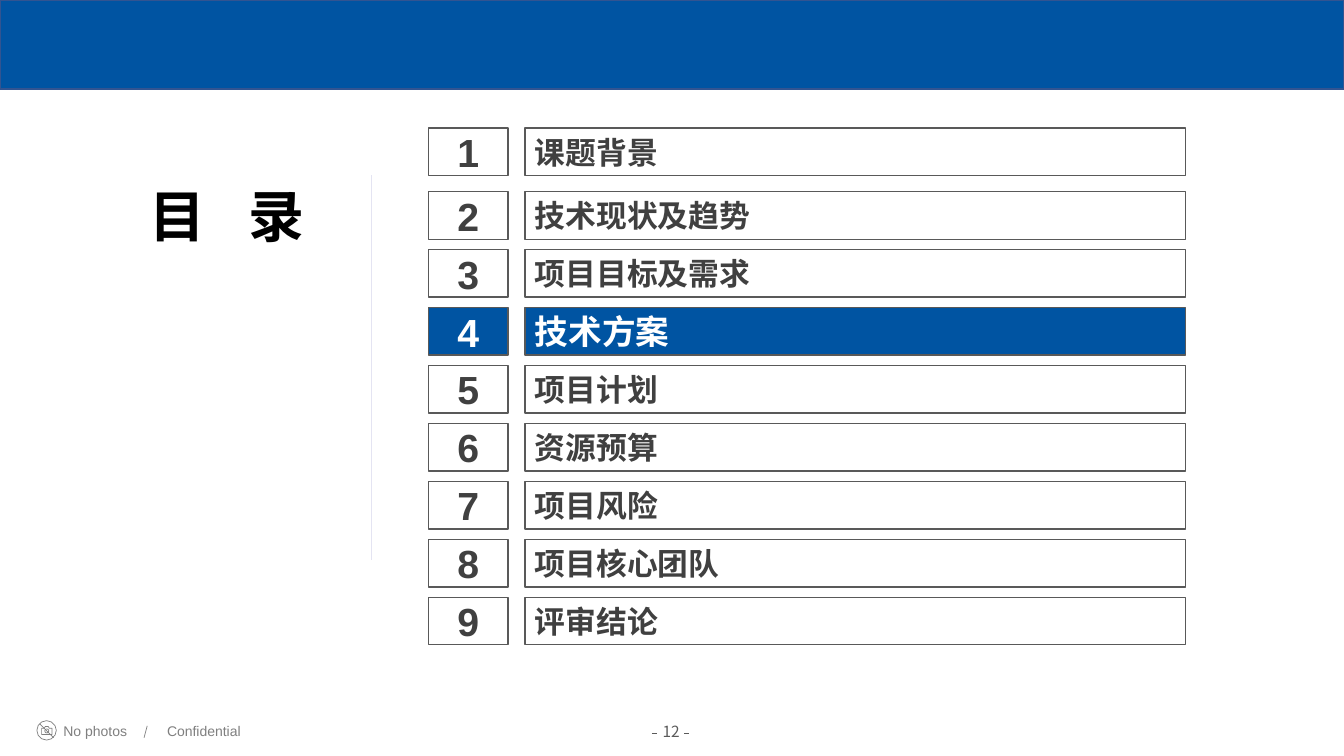
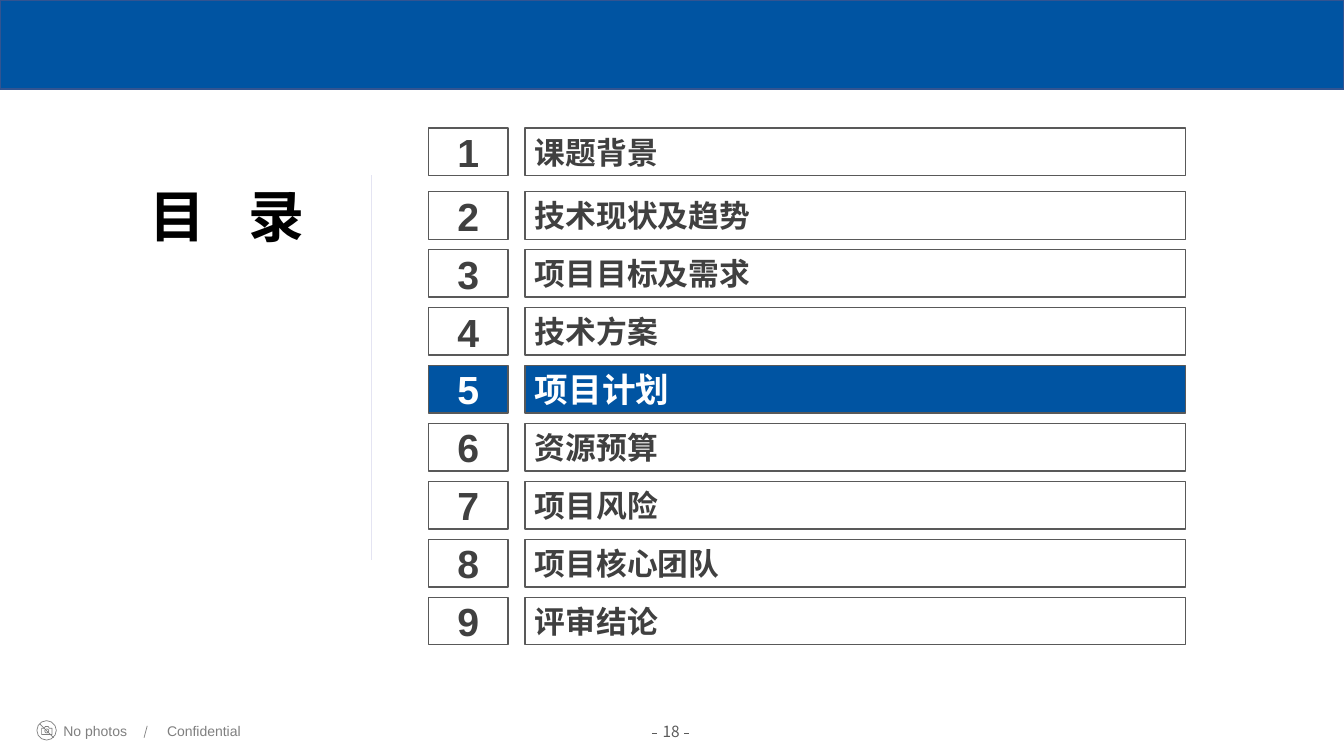
from dataclasses import dataclass
from typing import Any

from lxml import etree
from pptx import Presentation
from pptx import util as u
from pptx.dml import color
from pptx.enum import shapes as kinds, text
from pptx.oxml import ns


@dataclass(frozen=True)
class Theme:
    blue: str = "0054A2"
    edge: str = "325491"
    frame: str = "595959"
    ink: str = "404040"
    black: str = "000000"
    white: str = "FFFFFF"
    pale: str = "E4E4F2"
    gray: str = "7F7F7F"
    page: str = "5A5A5A"
    latin: str = "Arial"
    asian: str = "Noto Sans CJK SC"
    title: float = 40
    digit: float = 28
    active: float = 24
    label: float = 22
    number: float = 11
    note: float = 10
    hair: float = 0.5
    rule: float = 1


@dataclass(frozen=True)
class Box:
    left: float
    top: float
    width: float
    height: float

    def size(self) -> tuple[u.Length, ...]:
        return u.Cm(self.left), u.Cm(self.top), u.Cm(self.width), u.Cm(self.height)


@dataclass(frozen=True)
class Line:
    left: float
    top: float
    right: float
    bottom: float
    tint: str


@dataclass(frozen=True)
class Page:
    number: int
    active: int


THEME = Theme()
TOPICS = ["课题背景", "技术现状及趋势", "项目目标及需求", "技术方案", "项目计划",
          "资源预算", "项目风险", "项目核心团队", "评审结论"]
PAGES = [Page(12, 4), Page(18, 5)]
FIRST, SECOND, PITCH = 3.23, 4.83, 1.46
FOOT = [
    Line(1.0, 18.24, 1.35, 18.59, THEME.gray),
    Line(3.71, 18.29, 3.63, 18.59, THEME.gray),
    Line(16.43, 18.49, 16.55, 18.49, THEME.page),
    Line(17.24, 18.49, 17.36, 18.49, THEME.page),
]
NOTES = {"No photos": Box(1.35, 18.08, 2.23, 0.69),
         "Confidential": Box(3.96, 18.08, 2.39, 0.69)}
CAMERA = [(1.05, 18.35), (1.12, 18.35), (1.14, 18.31), (1.22, 18.31),
          (1.24, 18.35), (1.31, 18.35), (1.31, 18.51), (1.05, 18.51)]
RING = Box(0.93, 18.16, 0.49, 0.49)
LENS = Box(1.13, 18.37, 0.1, 0.1)


def rgb(tint: str) -> color.RGBColor:
    return color.RGBColor.from_string(tint)


def style(part: Any, size: float, tint: str, bold: bool = False,
          face: str = THEME.latin) -> None:
    for run in part.runs:
        font = run.font
        font.size, font.bold, font.name = u.Pt(size), bold, face
        font.color.rgb = rgb(tint)
        asian = etree.SubElement(font._element, ns.qn("a:ea"))
        asian.set("typeface", THEME.asian)


def paint(shape: Any, fill: str | None, edge: str, width: float) -> None:
    shape.shadow.inherit = False
    if fill:
        shape.fill.solid()
        shape.fill.fore_color.rgb = rgb(fill)
    else:
        shape.fill.background()
    shape.line.color.rgb = rgb(edge)
    shape.line.width = u.Pt(width)


def draw(shapes: Any, kind: Any, box: Box, fill: str | None, edge: str,
         width: float) -> Any:
    shape = shapes.add_shape(kind, *box.size())
    paint(shape, fill, edge, width)
    return shape


def rule(shapes: Any, line: Line) -> Any:
    wire = shapes.add_connector(kinds.MSO_CONNECTOR.STRAIGHT, u.Cm(line.left),
                                u.Cm(line.top), u.Cm(line.right), u.Cm(line.bottom))
    wire.line.color.rgb = rgb(line.tint)
    wire.line.width = u.Pt(THEME.hair)
    etree.SubElement(wire._element.spPr, ns.qn("a:effectLst"))
    return wire


def write(shapes: Any, words: str, box: Box, wrap: bool) -> Any:
    shape = shapes.add_textbox(*box.size())
    frame = shape.text_frame
    frame.text = words
    frame.word_wrap = wrap
    frame.auto_size = text.MSO_AUTO_SIZE.SHAPE_TO_FIT_TEXT
    return shape


def share(slide: Any) -> None:
    shapes, layout = slide.shapes, slide.slide_layout
    for holder in list(layout.placeholders):
        if holder.placeholder_format.type != kinds.PP_PLACEHOLDER.TITLE:
            holder.element.getparent().remove(holder.element)
    oval = kinds.MSO_SHAPE.OVAL
    parts = [
        draw(shapes, kinds.MSO_SHAPE.RECTANGLE, Box(0, 0, 33.87, 2.24),
             THEME.blue, THEME.edge, THEME.rule),
        draw(shapes, oval, RING, None, THEME.gray, THEME.hair),
        draw(shapes, oval, LENS, None, THEME.gray, THEME.hair),
    ]
    points = [(u.Cm(x), u.Cm(y)) for x, y in CAMERA]
    pen = shapes.build_freeform(*points[0])
    pen.add_line_segments(points[1:], close=True)
    body = pen.convert_to_shape()
    paint(body, None, THEME.gray, THEME.hair)
    parts.append(body)
    parts += [rule(shapes, line) for line in FOOT]
    for words, box in NOTES.items():
        note = write(shapes, words, box, False)
        style(note.text_frame.paragraphs[0], THEME.note, THEME.gray)
        parts.append(note)
    for part in parts:
        layout.shapes.element.append(part.element)


def head(slide: Any) -> None:
    title = slide.shapes.title
    title.left, title.top, title.width, title.height = Box(2.1, 4.45, 7.24, 1.96).size()
    frame = title.text_frame
    frame.text = "目 录"
    frame.auto_size = text.MSO_AUTO_SIZE.NONE
    frame.vertical_anchor = text.MSO_ANCHOR.TOP
    line = frame.paragraphs[0]
    line.alignment = text.PP_ALIGN.CENTER
    style(line, THEME.title, THEME.black, True)
    line.runs[0].font._element.set("spc", "1100")
    rule(slide.shapes, Line(9.37, 4.42, 9.37, 14.1, THEME.pale))


def cell(shapes: Any, words: str, box: Box, size: float, align: Any,
         active: bool) -> None:
    shape = draw(shapes, kinds.MSO_SHAPE.RECTANGLE, box,
                 THEME.blue if active else None, THEME.frame, THEME.rule)
    frame = shape.text_frame
    frame.text = words
    frame.vertical_anchor = text.MSO_ANCHOR.MIDDLE
    line = frame.paragraphs[0]
    line.alignment = align
    style(line, size, THEME.white if active else THEME.ink, True)


def row(slide: Any, index: int, topic: str, active: bool) -> None:
    top = FIRST if index == 1 else round(SECOND + (index - 2) * PITCH, 2)
    group = slide.shapes.add_group_shape().shapes
    cell(group, str(index), Box(10.8, top, 2, 1.2), THEME.digit,
         text.PP_ALIGN.CENTER, active)
    cell(group, topic, Box(13.23, top, 16.64, 1.2),
         THEME.active if active else THEME.label, text.PP_ALIGN.LEFT, active)


def fill(slide: Any, page: Page) -> None:
    head(slide)
    for index, topic in enumerate(TOPICS, 1):
        row(slide, index, topic, index == page.active)
    number = write(slide.shapes, str(page.number), Box(16.05, 18.08, 1.73, 0.73), True)
    line = number.text_frame.paragraphs[0]
    line.alignment = text.PP_ALIGN.CENTER
    style(line, THEME.number, THEME.page, face=THEME.asian)


def main() -> None:
    deck = Presentation()
    deck.slide_width, deck.slide_height = u.Cm(33.87), u.Cm(19.05)
    layout = deck.slide_layouts.get_by_name("Title Only")
    slides = [deck.slides.add_slide(layout) for _ in PAGES]
    share(slides[0])
    for slide, page in zip(slides, PAGES):
        fill(slide, page)
    deck.save("out.pptx")


if __name__ == "__main__":
    main()
